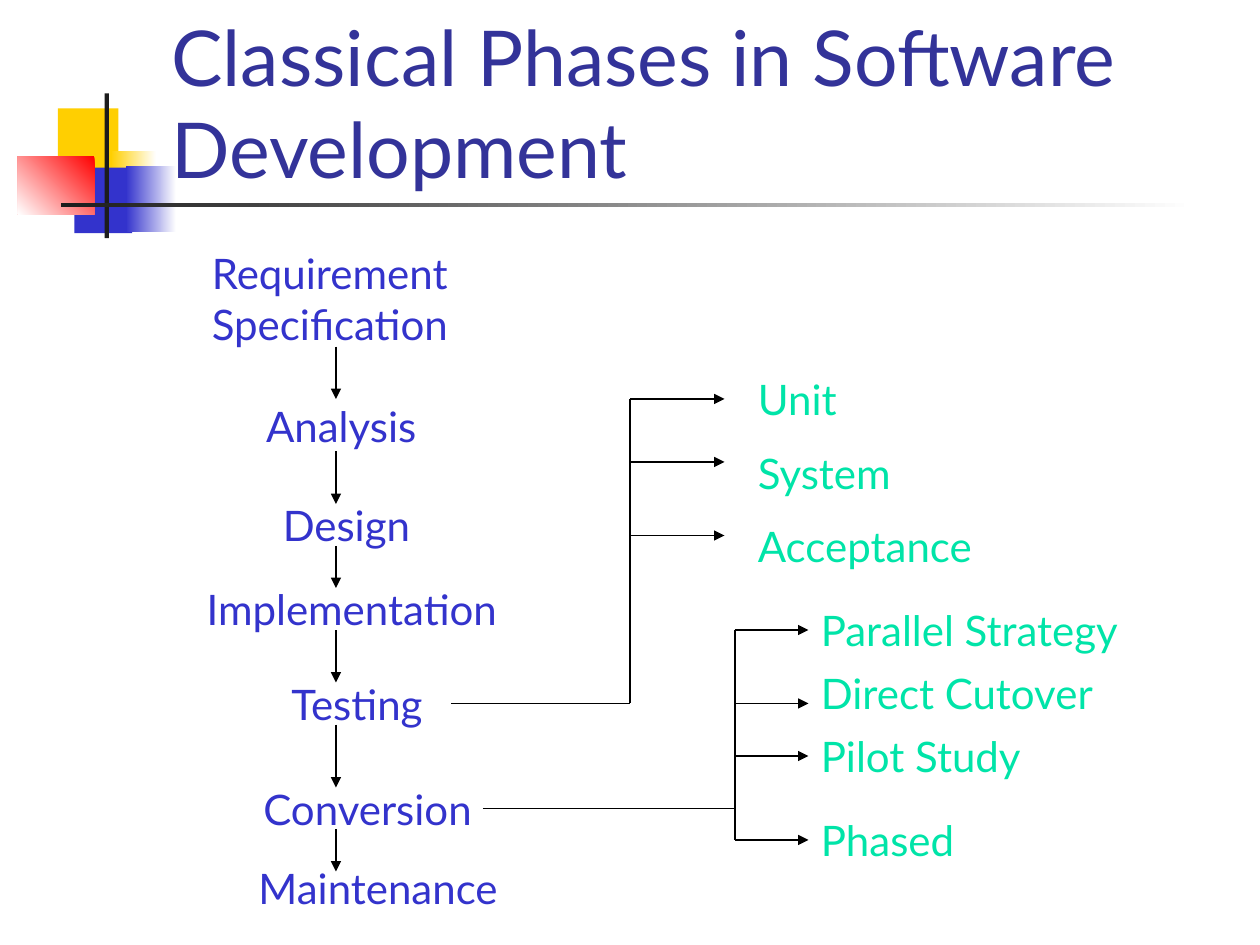
from dataclasses import dataclass
from typing import Any, Optional

import pptx
import pptx.dml.color
import pptx.enum.shapes
import pptx.enum.text
import pptx.oxml
import pptx.oxml.ns
import pptx.util

Pt = pptx.util.Pt
FONT = "Lato"
COLORS = {
    "title": "333399", "blue": "3333CC", "green": "00E4A8", "gold": "FFCF01",
    "red": "FF0000", "white": "FFFFFF", "dark": "1C1C1C", "line": "000000",
}


@dataclass
class Bar:
    left: float
    top: float
    width: float
    height: float
    color: str
    fade: Optional[str] = None
    angle: float = 180


@dataclass
class Label:
    text: str
    left: float
    top: float
    width: float
    height: float = 36


@dataclass
class Branch:
    start: float  # left end of the stem
    stem: float   # height at which the stem leaves its phase
    trunk: float  # x of the vertical line
    tip: float    # x of the arrow tips
    leaves: list[tuple[Label, float]]  # label and height of its arrow


# Corner decoration
BARS = [
    Bar(33.1, 61.9, 34.6, 37.4, "gold"),
    Bar(63.4, 86.4, 25.9, 37.4, "white", "gold"),
    Bar(42.5, 95.8, 33.1, 37.4, "blue"),
    Bar(72, 95, 28.8, 37.4, "white", "blue"),
    Bar(10.1, 89.3, 43.9, 33.1, "red", "white", 225),
    Bar(59.8, 53.3, 2.4, 82.8, "dark"),
    Bar(34.6, 115.9, 648, 2.4, "white", "dark"),
]

# Phases, from top to bottom
FIRST = Label("Requirement Specification", 114, 138, 216, 65)
PHASES = [
    Label("Analysis", 108, 216, 174, 54),
    Label("Design", 108, 282, 180),
    Label("Implementation", 108, 330, 186),
    Label("Testing", 108, 384, 192),
    Label("Conversion", 108, 444, 204),
    Label("Maintenance", 114, 492, 204, 30),
]
AXIS = 192
STEPS = [(198, 228), (258, 288), (312, 336), (360, 390), (414, 450), (474, 498)]

# Kinds of testing and of conversion
BRANCHES = [
    Branch(258, 402, 360, 414, [
        (Label("Unit", 426, 210, 168), 228),
        (Label("System", 426, 252, 102), 264),
        (Label("Acceptance", 426, 294, 168), 306),
    ]),
    Branch(276, 462, 420, 462, [
        (Label("Parallel Strategy", 462, 342, 210), 360),
        (Label("Direct Cutover", 462, 378, 174, 65), 402),
        (Label("Pilot Study", 462, 414, 204), 432),
        (Label("Phased", 462, 462, 198), 480),
    ]),
]


def rgb(name: str) -> Any:
    return pptx.dml.color.RGBColor.from_string(COLORS[name])


def style(frame: Any, size: float, color: str) -> None:
    for run in frame.paragraphs[0].runs:
        run.font.name = FONT
        run.font.size = Pt(size)
        run.font.color.rgb = rgb(color)


def add_bar(slide: Any, bar: Bar) -> None:
    shape = slide.shapes.add_shape(
        pptx.enum.shapes.MSO_SHAPE.RECTANGLE,
        Pt(bar.left), Pt(bar.top), Pt(bar.width), Pt(bar.height))
    shape.shadow.inherit = False
    shape.line.fill.background()
    if bar.fade is None:
        shape.fill.solid()
        shape.fill.fore_color.rgb = rgb(bar.color)
        return
    shape.fill.gradient()
    shape.fill.gradient_angle = bar.angle
    for stop, name in zip(shape.fill.gradient_stops, (bar.color, bar.fade)):
        stop.color.rgb = rgb(name)


def add_label(slide: Any, label: Label, color: str, mid: bool = False) -> Any:
    box = slide.shapes.add_textbox(
        Pt(label.left), Pt(label.top), Pt(label.width), Pt(label.height))
    frame = box.text_frame
    frame.text = label.text
    frame.word_wrap = not mid
    part = frame.paragraphs[0]
    if mid:
        frame.vertical_anchor = pptx.enum.text.MSO_ANCHOR.MIDDLE
        part.alignment = pptx.enum.text.PP_ALIGN.CENTER
    else:
        frame.auto_size = pptx.enum.text.MSO_AUTO_SIZE.SHAPE_TO_FIT_TEXT
        part.space_before = Pt(15)
    style(frame, 24, color)
    return box


def add_line(slide: Any, x1: float, y1: float, x2: float, y2: float,
             arrow: bool = False) -> Any:
    line = slide.shapes.add_connector(
        pptx.enum.shapes.MSO_CONNECTOR.STRAIGHT, Pt(x1), Pt(y1), Pt(x2), Pt(y2))
    line.line.width = Pt(0.75)
    line.line.color.rgb = rgb("line")
    if arrow:
        space = pptx.oxml.ns.nsdecls("a")
        head = pptx.oxml.parse_xml(f'<a:tailEnd {space} type="triangle"/>')
        line.line._get_or_add_ln().append(head)
    props = line.element.spPr
    props.append(props.makeelement(pptx.oxml.ns.qn("a:effectLst"), {}))
    return line


def add_branch(slide: Any, branch: Branch) -> None:
    levels = [level for _, level in branch.leaves] + [branch.stem]
    add_line(slide, branch.start, branch.stem, branch.trunk, branch.stem)
    add_line(slide, branch.trunk, min(levels), branch.trunk, max(levels))
    for label, level in branch.leaves:
        box = add_label(slide, label, "green")
        line = add_line(slide, branch.trunk, level, branch.tip, level, True)
        if (branch.tip, level) == (label.left, label.top + label.height / 2):
            line.end_connect(box, 1)


def add_title(slide: Any) -> None:
    title = slide.shapes.title
    title.left, title.top = Pt(90.7), Pt(24.5)
    title.width, title.height = Pt(613.4), Pt(90)
    frame = title.text_frame
    frame.text = "Classical Phases in Software Development"
    frame.word_wrap = True
    frame.auto_size = pptx.enum.text.MSO_AUTO_SIZE.NONE
    frame.vertical_anchor = pptx.enum.text.MSO_ANCHOR.BOTTOM
    frame.paragraphs[0].alignment = pptx.enum.text.PP_ALIGN.LEFT
    style(frame, 44, "title")
    # Bring the title in front of the decoration
    title.element.getparent().append(title.element)


def main() -> None:
    deck = pptx.Presentation()
    deck.slide_width, deck.slide_height = Pt(720), Pt(540)
    slide = deck.slides.add_slide(deck.slide_layouts.get_by_name("Title Only"))
    for bar in BARS:
        add_bar(slide, bar)
    add_title(slide)
    add_label(slide, FIRST, "blue")
    for phase in PHASES:
        add_label(slide, phase, "blue", mid=True)
    for branch in BRANCHES:
        add_branch(slide, branch)
    for top, bottom in STEPS:
        add_line(slide, AXIS, top, AXIS, bottom, True)
    deck.save("out.pptx")


if __name__ == "__main__":
    main()
